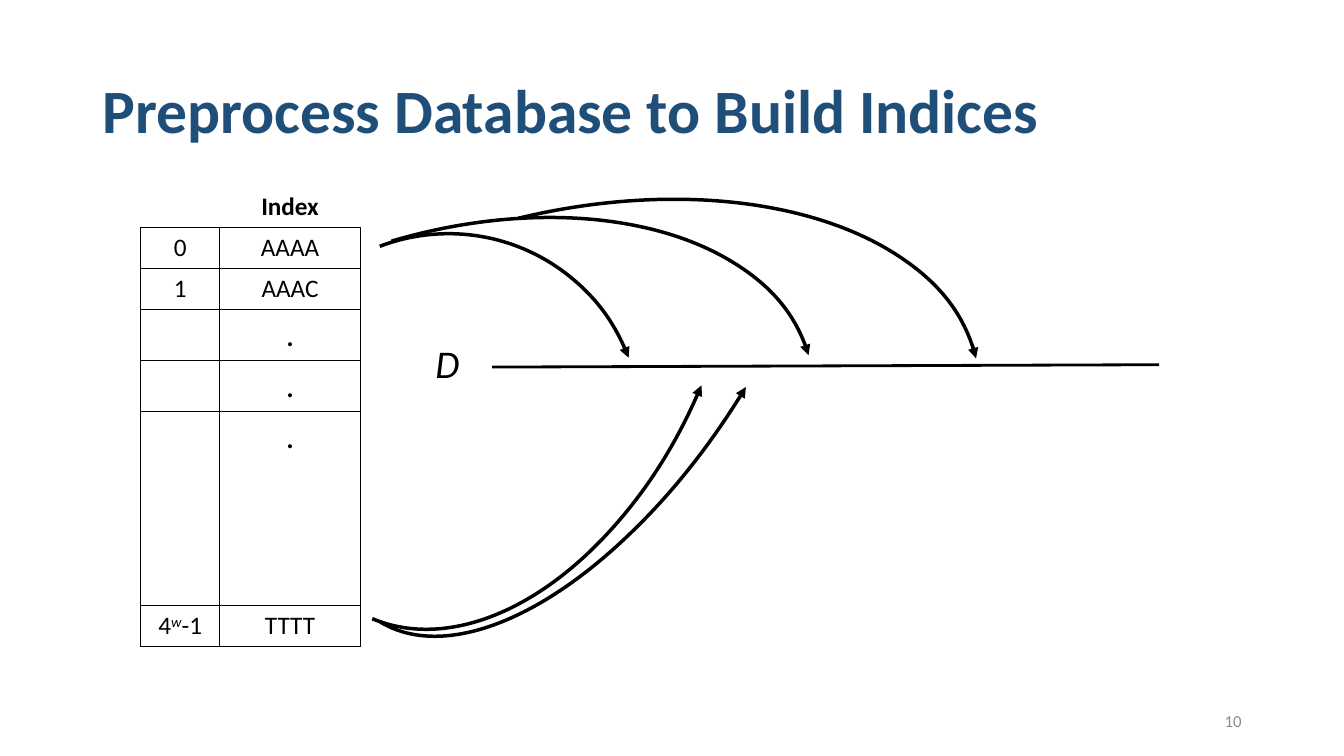
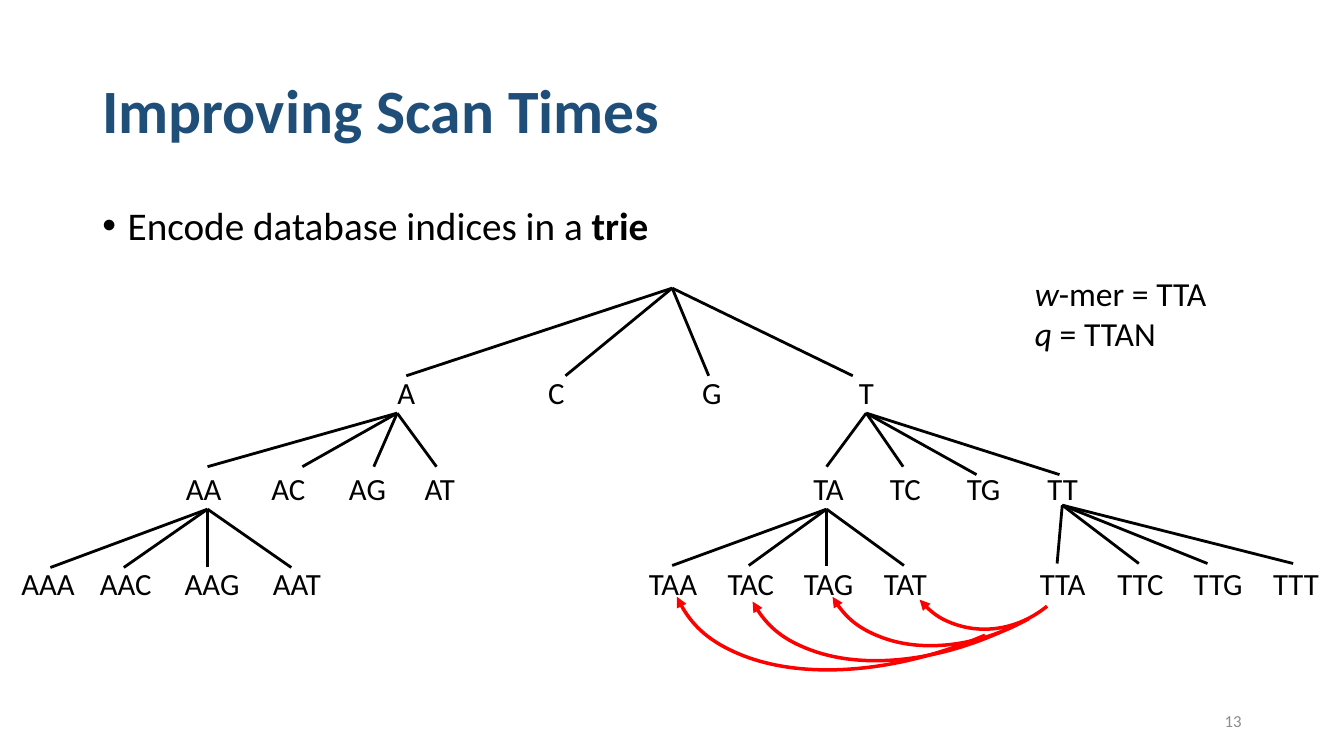
import lxml.etree
import pptx
import pptx.dml.color
import pptx.enum.shapes
import pptx.enum.text
import pptx.oxml.ns
import pptx.util

Cm, Pt = pptx.util.Cm, pptx.util.Pt
qn = pptx.oxml.ns.qn
ALIGN = pptx.enum.text.PP_ALIGN
ANCHOR = pptx.enum.text.MSO_ANCHOR
SHAPE = pptx.enum.shapes.MSO_SHAPE
LINE = pptx.enum.shapes.MSO_CONNECTOR

FONT = "Calibri"
BLACK, NAVY, GRAY, RED = "000000", "1F4E79", "8C8C8C", "FF0000"
PLAIN = "{2D5ABB26-0587-4C30-8999-92F81FD0307C}"
TITLE = (2.33, 1.02, 29.21, 3.68)
BODY = (2.33, 5.08, 29.21, 2)
NUMBER = (23.92, 17.66, 7.62, 1.02)


def color(code):
    return pptx.dml.color.RGBColor.from_string(code)


def write(para, runs, size, tint=BLACK, align=ALIGN.LEFT):
    """Add (text, style) runs; the style letters are b, i and s for superscript."""
    para.alignment = align
    for text, style in runs:
        run = para.add_run()
        run.text = text
        font = run.font
        font.name, font.size = FONT, Pt(size)
        font.bold, font.italic = "b" in style, "i" in style
        font.color.rgb = color(tint)
        if "s" in style:
            run._r.get_or_add_rPr().set("baseline", "30000")


def label(slide, box, paras, size, tint=BLACK, align=ALIGN.LEFT,
          anchor=ANCHOR.TOP, wrap=True):
    frame = slide.shapes.add_textbox(*map(Cm, box)).text_frame
    frame.word_wrap = wrap
    frame.vertical_anchor = anchor
    for i, runs in enumerate(paras):
        para = frame.add_paragraph() if i else frame.paragraphs[0]
        write(para, runs, size, tint, align)
    return frame


def line(slide, x1, y1, x2, y2):
    link = slide.shapes.add_connector(
        LINE.STRAIGHT, Cm(x1), Cm(y1), Cm(x2), Cm(y2))
    link.line.color.rgb = color(BLACK)
    link.line.width = Pt(2)
    lxml.etree.SubElement(link._element.spPr, qn("a:effectLst"))


def arc(slide, left, top, wide, high, turn, tint=BLACK, end="tailEnd"):
    curve = slide.shapes.add_shape(
        SHAPE.ARC, Cm(left), Cm(top), Cm(wide), Cm(high))
    curve.rotation = turn
    curve.fill.background()
    curve.line.color.rgb = color(tint)
    curve.line.width = Pt(2.5)
    curve.shadow.inherit = False
    ln = curve._element.spPr.find(qn("a:ln"))
    lxml.etree.SubElement(ln, qn("a:" + end), type="triangle")


def border(cell, sides):
    """Draw a thin black edge on each of the given sides, in the order LRTB."""
    props = cell._tc.get_or_add_tcPr()
    for i, side in enumerate(sides):
        ln = lxml.etree.Element(qn("a:ln" + side), w=str(Pt(1)))
        fill = lxml.etree.SubElement(ln, qn("a:solidFill"))
        lxml.etree.SubElement(fill, qn("a:srgbClr"), val=BLACK)
        props.insert(i, ln)


def grid(slide, left, top, cols, rows):
    """Add an empty table with no fill, no banding and no borders."""
    table = slide.shapes.add_table(
        len(rows), len(cols), Cm(left), Cm(top),
        Cm(sum(cols)), Cm(sum(rows))).table
    table.first_row = table.horz_banding = False
    table._tbl.tblPr.find(qn("a:tableStyleId")).text = PLAIN
    for col, wide in zip(table.columns, cols):
        col.width = Cm(wide)
    for row, high in zip(table.rows, rows):
        row.height = Cm(high)
    for cell in table.iter_cells():
        cell.margin_left = cell.margin_right = 0
        cell.fill.background()
    return table


def base(deck, title, number):
    """Add a slide with the shared title and page number."""
    slide = deck.slides.add_slide(deck.slide_layouts[6])
    frame = label(slide, TITLE, [[(title, "b")]], 44, NAVY,
                  anchor=ANCHOR.MIDDLE)
    frame.paragraphs[0].line_spacing = 0.9
    label(slide, NUMBER, [[(number, "")]], 12, GRAY, ALIGN.RIGHT,
          ANCHOR.MIDDLE)
    return slide


def index(slide, left, top):
    rows = [
        ([], [("Index", "b")], 18, "B"),
        ([("0", "")], [("AAAA", "")], 18, "LRTB"),
        ([("1", "")], [("AAAC", "")], 18, "LRTB"),
        ([], [(".", "")], 24, "LRTB"),
        ([], [(".", "")], 24, "LRT"),
        ([], [(".", "")], 24, "LR"),
        ([], [], 18, "LR"),
        ([], [], 18, "LR"),
        ([], [], 18, "LRB"),
        ([("4", ""), ("w", "is"), ("-1", "")], [("TTTT", "")], 18, "LRTB"),
    ]
    highs = [1.03] * 3 + [1.29] * 3 + [1.2] * 3 + [1.03]
    table = grid(slide, left, top, [1.98, 3.56], highs)
    for r, (key, word, size, sides) in enumerate(rows):
        for c, runs in enumerate((key, word)):
            cell = table.cell(r, c)
            border(cell, sides)
            write(cell.text_frame.paragraphs[0], runs, size,
                  align=ALIGN.CENTER)


def hits(slide, left, top):
    """Draw the database line and the arrows from index entries to it."""
    line(slide, left + 8.84, top + 4.55, left + 25.65, top + 4.49)
    label(slide, (left + 7.16, top + 3.73, 1.14, 1.45), [[("D", "i")]], 28)
    for x, y, wide, high, turn, end in [
        (2.87, 1.19, 9.73, 9.7, 339.2, "tailEnd"),
        (-1.32, 1.14, 18.52, 11.48, 343.5, "tailEnd"),
        (0.55, 0.63, 20.78, 12.29, 346.4, "tailEnd"),
        (0.53, -2.44, 17.27, 10.74, 112.8, "headEnd"),
        (1.29, -2.24, 19.69, 9.6, 121.3, "headEnd"),
    ]:
        arc(slide, left + x, top + y, wide, high, turn, end=end)


def words(slide, left, top):
    """Set the trie's node names, each as (column, span, name)."""
    cols = [1.96, 1.96, 1.96, 0.43, 1.88, 1.68, 1.96, 3.92, 1.96,
            1.96, 1.96, 1.91, 2.03, 1.96, 1.96, 1.96, 1.96]
    gaps = [(2, 3, ""), (5, 2, ""), (8, 2, ""), (10, 2, ""), (12, 2, "")]
    levels = [
        [(2, 3, ""), (5, 2, "A"), (7, 1, "C"), (8, 2, "G"), (10, 2, "T"),
         (12, 2, "")],
        gaps,
        [(2, 1, "AA"), (3, 2, "AC"), (5, 1, "AG"), (6, 1, "AT"), (8, 2, ""),
         (10, 1, "TA"), (11, 1, "TC"), (12, 1, "TG"), (13, 1, "TT")],
        gaps,
        [(0, 1, "AAA"), (1, 1, "AAC"), (2, 2, "AAG"), (4, 1, "AAT"),
         (5, 2, ""), (8, 1, "TAA"), (9, 1, "TAC"), (10, 1, "TAG"),
         (11, 1, "TAT"), (13, 1, "TTA"), (14, 1, "TTC"), (15, 1, "TTG"),
         (16, 1, "TTT")],
    ]
    table = grid(slide, left, top, cols, [1.2] * 5)
    for r, nodes in enumerate(levels):
        for c, span, name in nodes:
            cell = table.cell(r, c)
            if span > 1:
                cell.merge(table.cell(r, c + span - 1))
            if name:
                write(cell.text_frame.paragraphs[0], [(name, "")], 22,
                      align=ALIGN.CENTER)


def trie(slide, left, top):
    words(slide, left, top + 2.08)
    for x, y, low, ends in [
        (16.71, 0, 2.21, [10.01, 14.02, 17.63, 21.26]),
        (9.78, 3.15, 4.5, [5, 7.39, 9.19, 10.77]),
        (5, 5.57, 7.04, [1.04, 2.89, 5, 7.11]),
        (21.6, 3.15, 4.5, [20.6, 22.53]),
        (21.6, 3.15, 4.7, [24.38, 26.47]),
        (20.6, 5.57, 6.99, [16.71, 18.64, 20.6, 22.55]),
        (26.54, 5.47, 6.94, [26.41, 28.47, 30.2, 32.36]),
    ]:
        for end in ends:
            line(slide, left + end, top + low, left + x, top + y)
    for x, y, wide, high, turn in [
        (22.4, 4.17, 4.75, 4.34, 140.5),
        (20.24, 2.93, 8.08, 5.77, 150.9),
        (18.11, 1.76, 11.38, 7.09, 152.9),
        (16.28, 1.15, 13.49, 7.92, 156.7),
    ]:
        arc(slide, left + x, top + y, wide, high, turn, RED)
    label(slide, (left + 25.6, top - 0.51, 4.88, 2.31),
          [[("w", "i"), ("-mer = TTA", "")], [("q ", "i"), ("= TTAN", "")]],
          24, wrap=False)


def bullet(slide, box, runs):
    para = label(slide, box, [runs], 28).paragraphs[0]
    para.line_spacing = 0.9
    para.space_before = Pt(10)
    props = para._p.get_or_add_pPr()
    props.set("marL", str(Cm(0.64)))
    props.set("indent", str(-Cm(0.64)))
    lxml.etree.SubElement(props, qn("a:buFont"), typeface="Arial")
    lxml.etree.SubElement(props, qn("a:buChar"), char="•")


def main():
    deck = pptx.Presentation()
    deck.slide_width, deck.slide_height = Cm(33.87), Cm(19.05)

    slide = base(deck, "Preprocess Database to Build Indices", "10")
    index(slide, 3.55, 4.7)
    hits(slide, 3.56, 4.7)

    slide = base(deck, "Improving Scan Times", "13")
    bullet(slide, BODY, [("Encode database indices in a ", ""),
                         ("trie", "b")])
    trie(slide, 0.23, 7.26)

    deck.save("out.pptx")


if __name__ == "__main__":
    main()
